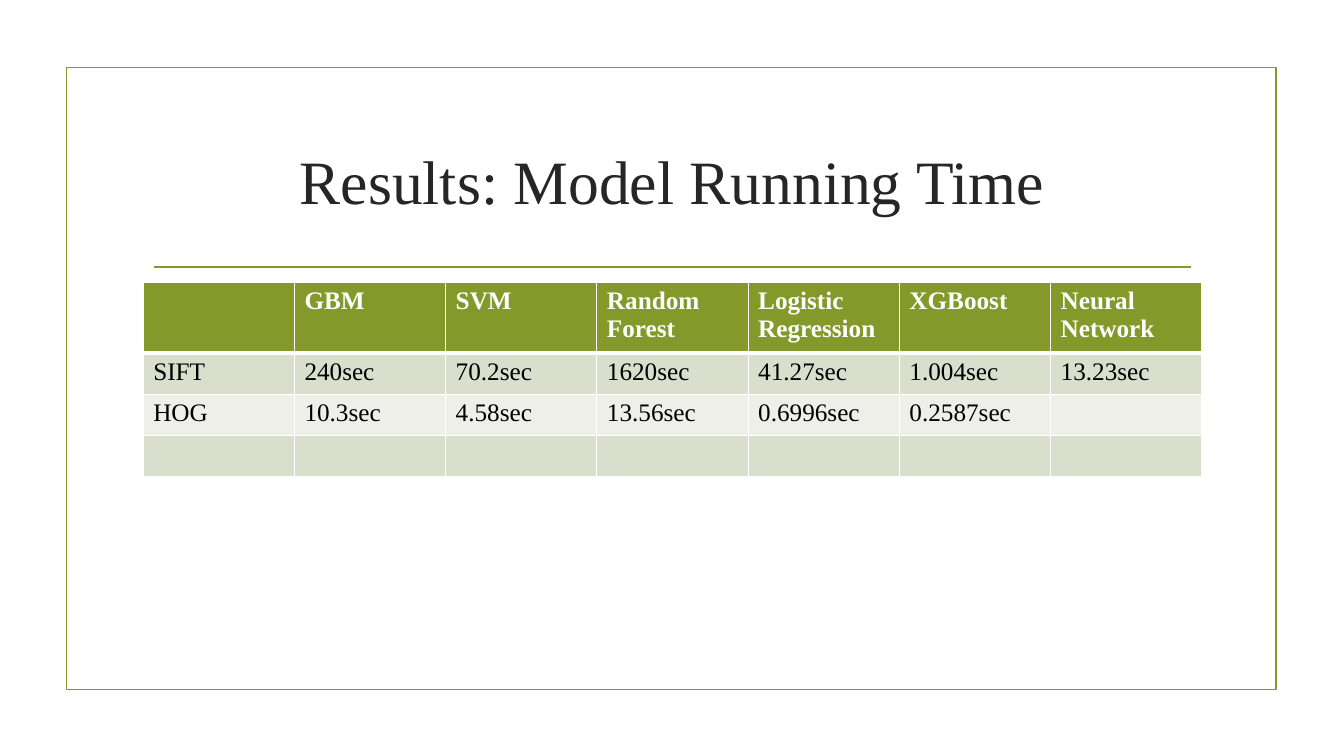
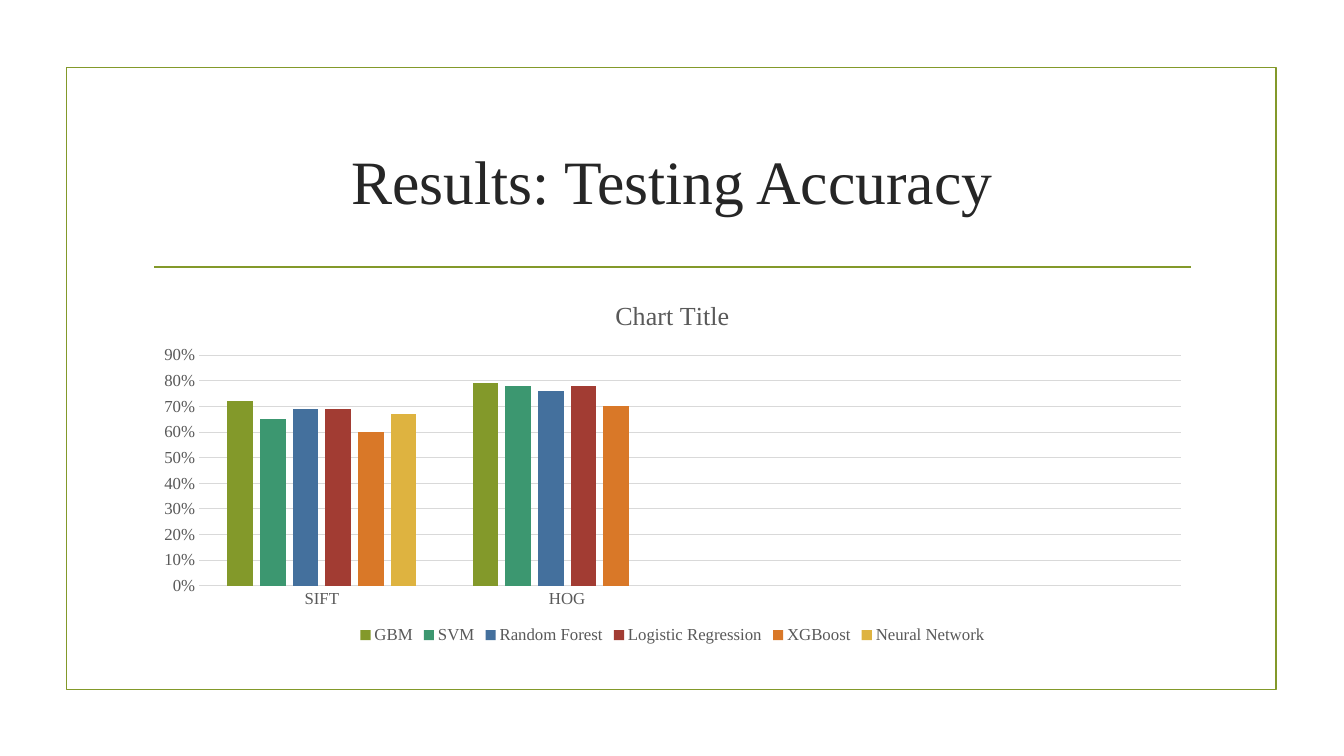
from lxml.etree import SubElement
from pptx import Presentation
from pptx.chart.data import CategoryChartData
from pptx.dml.color import RGBColor
from pptx.enum.chart import XL_CHART_TYPE, XL_LEGEND_POSITION, XL_TICK_MARK
from pptx.enum.shapes import MSO_CONNECTOR, MSO_SHAPE
from pptx.enum.text import MSO_ANCHOR, PP_ALIGN
from pptx.oxml.ns import qn
from pptx.util import Inches, Pt

FONT = "Times New Roman"
COLORS = {
    "accent": "83992A", "title": "262626", "text": "000000", "white": "FFFFFF",
    "odd": "D9DECD", "even": "EDEFE8", "label": "595959", "grid": "D9D9D9",
}
LEFT, TOP, WIDTH = 1.42, 2.8, 10.5

MODELS = ["GBM", "SVM", "Random Forest", "Logistic Regression", "XGBoost", "Neural Network"]
TIMES = [
    ["", *MODELS],
    ["SIFT", "240sec", "70.2sec", "1620sec", "41.27sec", "1.004sec", "13.23sec"],
    ["HOG", "10.3sec", "4.58sec", "13.56sec", "0.6996sec", "0.2587sec", ""],
    [""] * 7,
]
HEAD_ROW, BODY_ROW = 0.64, 0.41

GROUPS = ["SIFT", "HOG", "", ""]
SCORES = [(0.72, 0.79), (0.65, 0.78), (0.69, 0.76), (0.69, 0.78), (0.6, 0.7), (0.67, None)]
BARS = ["83992A", "3C9770", "44709D", "A23C33", "D97828", "DEB340"]


def rgb(name):
    return RGBColor.from_string(COLORS.get(name, name))


def style(font, size, color, bold=False):
    font.name, font.size, font.bold = FONT, Pt(size), bold
    font.color.rgb = rgb(color)


def stroke(line, color, width):
    line.color.rgb = rgb(color)
    line.width = Pt(width)


def write(para, text, size, color, bold=False):
    run = para.add_run()
    run.text = text
    style(run.font, size, color, bold)


def add_page(deck, title):
    """Add a slide with the shared frame, title and rule."""
    slide = deck.slides.add_slide(deck.slide_layouts[6])
    shapes = slide.shapes
    frame = shapes.add_shape(MSO_SHAPE.RECTANGLE, Inches(0.66), Inches(0.67), Inches(12), Inches(6.17))
    frame.shadow.inherit = False
    frame.fill.background()
    stroke(frame.line, "accent", 1.25)

    rule = shapes.add_connector(
        MSO_CONNECTOR.STRAIGHT, Inches(1.53), Inches(2.65), Inches(11.81), Inches(2.65))
    stroke(rule.line, "accent", 1.25)
    SubElement(rule._element.spPr, qn("a:effectLst"))

    box = shapes.add_textbox(Inches(LEFT), Inches(1.07), Inches(WIDTH), Inches(1.43)).text_frame
    box.word_wrap = True
    box.vertical_anchor = MSO_ANCHOR.MIDDLE
    box.paragraphs[0].alignment = PP_ALIGN.CENTER
    write(box.paragraphs[0], title, 44, "title")
    return shapes


def add_borders(cell, top, bottom):
    props = cell._tc.get_or_add_tcPr()
    for side, width in (("L", 1), ("R", 1), ("T", top), ("B", bottom)):
        line = SubElement(props, qn("a:ln" + side), w=str(Pt(width)))
        fill = SubElement(line, qn("a:solidFill"))
        SubElement(fill, qn("a:srgbClr"), val=COLORS["white"])


def add_times(shapes):
    rows, cols = len(TIMES), len(TIMES[0])
    height = HEAD_ROW + BODY_ROW * (rows - 1)
    table = shapes.add_table(
        rows, cols, Inches(LEFT), Inches(TOP), Inches(WIDTH), Inches(height)).table
    for col in table.columns:
        col.width = Inches(WIDTH / cols)
    for r, texts in enumerate(TIMES):
        head = r == 0
        table.rows[r].height = Inches(HEAD_ROW if head else BODY_ROW)
        back = "accent" if head else ("even", "odd")[r % 2]
        for c, text in enumerate(texts):
            cell = table.cell(r, c)
            add_borders(cell, 3 if r == 1 else 1, 3 if head else 1)
            cell.fill.solid()
            cell.fill.fore_color.rgb = rgb(back)
            if text:
                write(cell.text_frame.paragraphs[0], text, 18, "white" if head else "text", head)


def add_scores(shapes):
    data = CategoryChartData(number_format="0%")
    data.categories = GROUPS
    for model, scores in zip(MODELS, SCORES):
        data.add_series(model, [*scores, None, None])
    chart = shapes.add_chart(
        XL_CHART_TYPE.COLUMN_CLUSTERED, Inches(LEFT), Inches(TOP), Inches(WIDTH), Inches(3.63),
        data).chart
    style(chart.font, 10, "text")
    chart.has_title = True
    write(chart.chart_title.text_frame.paragraphs[0], "Chart Title", 18.6, "label")
    chart.chart_title.include_in_layout = False

    chart.has_legend = True
    chart.legend.position = XL_LEGEND_POSITION.BOTTOM
    chart.legend.include_in_layout = False
    style(chart.legend.font, 12, "label")

    plot = chart.plots[0]
    plot.gap_width, plot.overlap, plot.vary_by_categories = 219, -27, False
    for series, color in zip(plot.series, BARS):
        series.format.fill.solid()
        series.format.fill.fore_color.rgb = rgb(color)

    cats, vals = chart.category_axis, chart.value_axis
    for axis in (cats, vals):
        axis.major_tick_mark = axis.minor_tick_mark = XL_TICK_MARK.NONE
        style(axis.tick_labels.font, 12, "label")
    stroke(cats.format.line, "grid", 0.75)
    vals.format.line.fill.background()
    stroke(vals.major_gridlines.format.line, "grid", 0.75)
    vals.minimum_scale, vals.maximum_scale, vals.major_unit = 0, 0.9, 0.1
    vals.tick_labels.number_format = "0%"
    vals.tick_labels.number_format_is_linked = False


def main():
    deck = Presentation()
    deck.slide_width, deck.slide_height = Inches(13.33), Inches(7.5)
    add_times(add_page(deck, "Results: Model Running Time"))
    add_scores(add_page(deck, "Results: Testing Accuracy"))
    deck.save("out.pptx")


if __name__ == "__main__":
    main()
